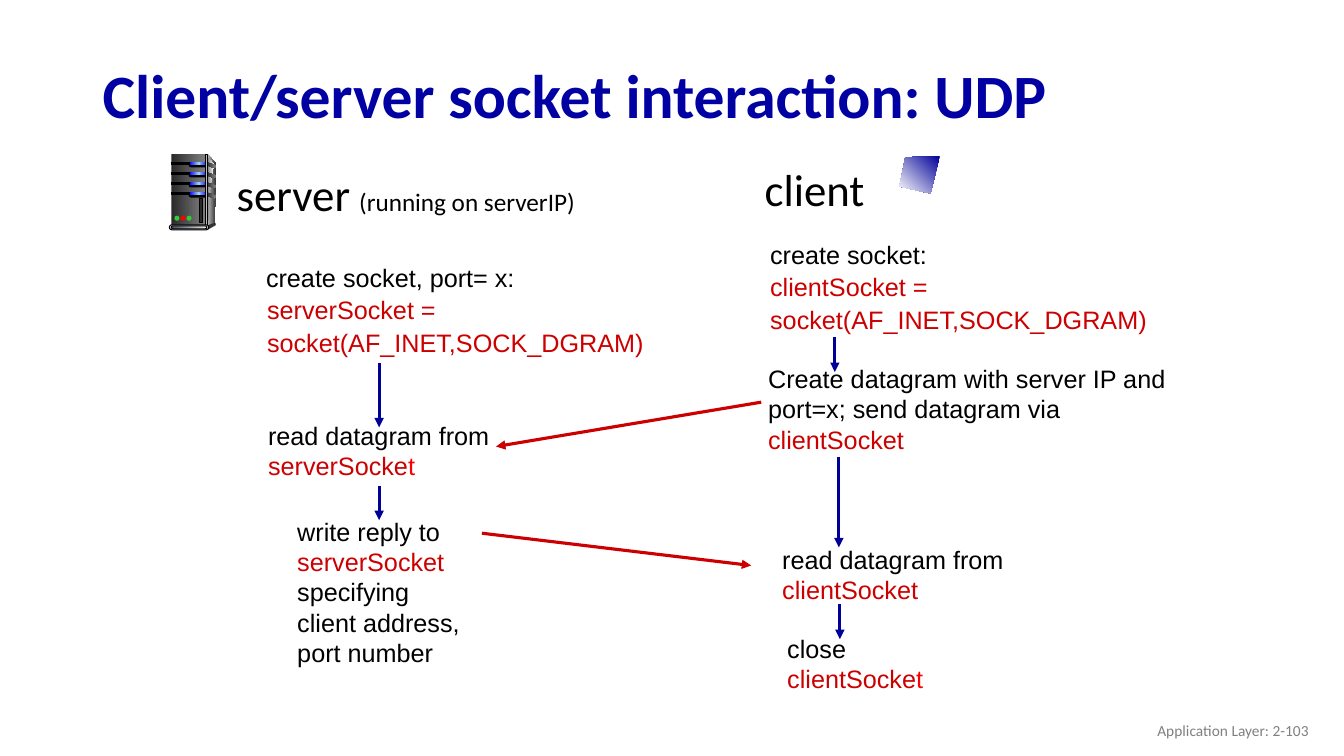
from copy import deepcopy
from lxml.etree import SubElement
from pptx import Presentation
from pptx.dml.color import RGBColor
from pptx.enum.shapes import MSO_CONNECTOR, MSO_SHAPE
from pptx.enum.text import MSO_ANCHOR, PP_ALIGN
from pptx.oxml.ns import qn
from pptx.util import Emu, Pt

PX = 9144  # 100 px to the inch
HUES = {
    "title": "0000A3", "navy": "000099", "code": "CC0000", "red": "FF0000",
    "black": "000000", "white": "FFFFFF", "foot": "808080", "coal": "292929",
    "grey": "808080", "dark": "333333", "pale": "DDDDDD", "mist": "F8F8F8",
    "blue": "0000FF", "sky": "99CCFF", "green": "33CC33", "slate": "44546A",
    "silver": "E7E6E6",
}
RGB = {name: RGBColor.from_string(hue) for name, hue in HUES.items()}

deck = Presentation()
deck.slide_width, deck.slide_height = Emu(1333 * PX), Emu(750 * PX)
slide = deck.slides.add_slide(deck.slide_layouts[6])
shapes = slide.shapes


def note(box, lines, size=18, face="Arial", wrap=False, align=PP_ALIGN.LEFT):
    """Text box; each line is a list of (text, colour) runs."""
    frame = shapes.add_textbox(*[Emu(n * PX) for n in box]).text_frame
    frame.word_wrap = wrap
    frame.vertical_anchor = MSO_ANCHOR.MIDDLE
    for row, runs in enumerate(lines):
        para = frame.add_paragraph() if row else frame.paragraphs[0]
        para.alignment = align
        para.font.size, para.font.name = Pt(size), face
        para.font.color.rgb = RGB[runs[0][1]]
        for text, hue in runs:
            run = para.add_run()
            run.text = text
            if hue != runs[0][1]:
                run.font.color.rgb = RGB[hue]
    return frame


def paint(shape, hues, edge=False, angle=0):
    """Plain fill for one colour, even gradient for two or three."""
    shape.shadow.inherit = False
    fill = shape.fill
    if len(hues) == 1:
        fill.solid()
        fill.fore_color.rgb = RGB[hues[0]]
    else:
        fill.gradient()
        fill.gradient_angle = angle
        stops = shape._element.spPr.find(qn("a:gradFill")).find(qn("a:gsLst"))
        if len(hues) == 3:
            stops.insert(1, deepcopy(stops[0]))
        for i, stop in enumerate(fill.gradient_stops):
            stop.position = i / (len(hues) - 1)
            stop.color.rgb = RGB[hues[i]]
    if edge:
        shape.line.color.rgb = RGB["black"]
        shape.line.width = Pt(0.75)
    else:
        shape.line.fill.background()


# Title and footer
head = note((92, 49, 1150, 98), [[("Client/server socket interaction: UDP", "title")]],
            44, "Calibri", True).paragraphs[0]
head.font.bold = True
head.line_spacing = 0.9
note((1008, 705, 300, 40), [[("Application Layer: 2-103", "foot")]],
     11, "Calibri", True, PP_ALIGN.RIGHT)

# Column heads
side = note((223, 160, 359, 64), [[("server", "black")]], 32, "Calibri",
            align=PP_ALIGN.CENTER).paragraphs[0]
for text, size in ((" ", 28), ("(running on serverIP)", 18)):
    run = side.add_run()
    run.text = text
    run.font.size = Pt(size)
note((748, 155, 120, 64), [[("client", "black")]], 32, "Calibri", align=PP_ALIGN.CENTER)

# Steps
steps = [
    ((254, 255, 269, 40), [[("create socket, port= x:", "black")]]),
    ((256, 411, 242, 71), [[("read datagram from", "black")],
                           [("serverSocke", "code"), ("t", "red")]]),
    ((285, 506, 184, 162), [[("write reply to", "black")], [("serverSocket", "code")],
                            [("specifying", "black")], [("client address,", "black")],
                            [("port number", "black")]]),
    ((754, 232, 177, 40), [[("create socket:", "black")]]),
    ((752, 355, 418, 101), [[("Create datagram with server IP and", "black")],
                            [("port=x; send datagram via", "black")],
                            [("clientSocket", "code")]]),
    ((766, 534, 242, 71), [[("read datagram from", "black")], [("clientSocket", "code")]]),
    ((771, 623, 156, 71), [[("close", "black")], [("clientSocke", "code"), ("t", "red")]]),
]
for box, lines in steps:
    note(box, lines)

# Socket calls
for x, y, name in ((255, 288, "serverSocket ="), (754, 265, "clientSocket =")):
    call = note((x, y, 398, 73), [[(name, "code")], [("socket(AF_INET,SOCK_DGRAM)", "code")]])
    for para in call.paragraphs:
        para.line_spacing = Pt(20)
    call.paragraphs[1].space_before = Pt(3.6)

# Arrows
arrows = [
    (376, 360, 376, 424, "navy"), (376, 482, 376, 516, "navy"),
    (828, 334, 828, 369, "navy"), (832, 453, 832, 543, "navy"),
    (833, 599, 833, 634, "navy"),
    (755, 399, 492, 443, "code"), (478, 529, 745, 561, "code"),
]
for *ends, hue in arrows:
    arrow = shapes.add_connector(MSO_CONNECTOR.STRAIGHT, *[Emu(n * PX) for n in ends])
    arrow.line.color.rgb = RGB[hue]
    arrow.line.width = Pt(2.25)
    SubElement(arrow.line._get_or_add_ln(), qn("a:tailEnd"), type="triangle")
    SubElement(arrow._element.spPr, qn("a:effectLst"))

# Icon parts: server tower and client screen
RECT, PILL, DOT = MSO_SHAPE.RECTANGLE, MSO_SHAPE.ROUNDED_RECTANGLE, MSO_SHAPE.OVAL
glow = ("blue", "sky", "blue")
parts = [
    ([(206, 153), (214, 162), (213, 222), (204, 225)], ("pale", "dark")),
    (RECT, (170, 153, 34, 72), ("coal", "grey")),
    ([(206, 157), (209, 159), (212, 163), (208, 190), (207, 210), (206, 223)],
     ("grey", "mist")),
]
for top in range(161, 192, 10):
    parts += [
        (RECT, (170, top, 19, 2), ("black",), True),
        (PILL, (187, top, 19, 5), ("black",)),
        (PILL, (188, top, 18, 3), glow),
        ([(205, top), (214, top + 3), (213, top + 6), (205, top + 3)], ("coal", "grey")),
    ]
parts += [
    (RECT, (204, 153, 2, 72), ("dark", "pale", "dark"), True),
    (DOT, (212, 221, 2, 3), ("dark",)),
    ([(205, 224), (206, 228), (213, 224), (213, 221)], ("dark",)),
    (PILL, (168, 223, 39, 5), ("pale",), True),
    (PILL, (170, 224, 35, 3), ("slate", "silver"), True),
    (RECT, (198, 197, 3, 24), ("coal",), True),
]
parts += [(DOT, (173 + 6 * i, 214, 5, 5), (hue,))
          for i, hue in enumerate(("green", "red", "green"))]
parts.append(([(932, 155), (898, 156), (892, 185), (923, 192)],
              ("navy", "white"), False, 225))
for kind, *rest in parts:
    if isinstance(kind, list):
        pen = shapes.build_freeform(*kind[0], scale=PX)
        pen.add_line_segments(kind[1:], close=True)
        paint(pen.convert_to_shape(), *rest)
    else:
        box, *style = rest
        part = shapes.add_shape(kind, *[Emu(n * PX) for n in box])
        if kind == PILL:
            part.adjustments[0] = 0.5
        paint(part, *style)

deck.save("out.pptx")
